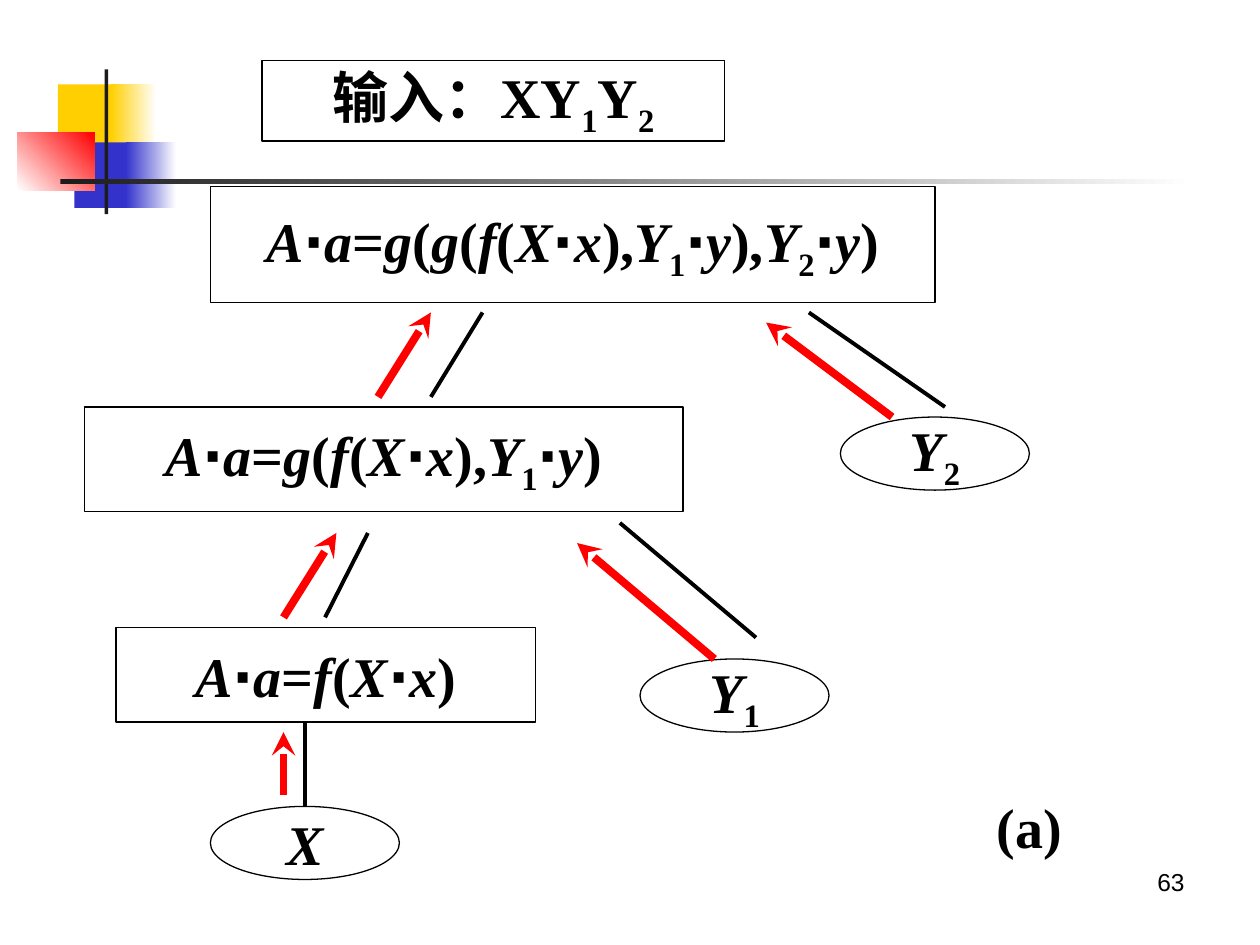
from itertools import groupby

from lxml import etree
from pptx import Presentation
from pptx.dml.color import RGBColor
from pptx.enum.shapes import MSO_CONNECTOR, MSO_SHAPE
from pptx.enum.text import MSO_ANCHOR, PP_ALIGN
from pptx.oxml.ns import qn
from pptx.util import Inches, Pt

RECT, OVAL = MSO_SHAPE.RECTANGLE, MSO_SHAPE.OVAL
STRAIGHT = MSO_CONNECTOR.STRAIGHT
MIDDLE, TOP = MSO_ANCHOR.MIDDLE, MSO_ANCHOR.TOP
CENTER, RIGHT = PP_ALIGN.CENTER, PP_ALIGN.RIGHT
TOP_SITE = 0

THEME = {
    "black": "000000", "white": "FFFFFF", "ink": "1C1C1C", "red": "FF0000",
    "yellow": "FFCF01", "blue": "3333CC",
    "serif": "Times New Roman", "sans": "Arial",
    "formula_size": 32, "number_size": 14,
    "outline": 0.75, "edge": 2.25, "flow": 4.5,
}

# left, top, width, height, start colour, end colour (None = solid), angle
ORNAMENTS = [
    (0.46, 0.67, 0.48, 0.52, "yellow", None, 0),
    (0.88, 0.67, 0.36, 0.52, "yellow", "white", 0),
    (0.59, 1.13, 0.46, 0.52, "blue", None, 0),
    (1.00, 1.13, 0.40, 0.52, "blue", "white", 0),
    (0.14, 1.05, 0.61, 0.46, "white", "red", 45),
    (0.83, 0.55, 0.03, 1.15, "ink", None, 0),
    (0.48, 1.42, 9.00, 0.04, "ink", "white", 0),
]

# name: shape, left, top, width, height, text
NODES = {
    "root": (RECT, 1.67, 1.48, 5.75, 0.92, "A⋅a=g(g(f(X⋅x),Y1⋅y),Y2⋅y)"),
    "inner": (RECT, 0.67, 3.23, 4.75, 0.83, "A⋅a=g(f(X⋅x),Y1⋅y)"),
    "first": (RECT, 0.92, 4.98, 3.33, 0.75, "A⋅a=f(X⋅x)"),
    "Y2": (OVAL, 6.67, 3.31, 1.5, 0.58, "Y2"),
    "Y1": (OVAL, 5.08, 5.23, 1.5, 0.58, "Y1"),
    "X": (OVAL, 1.67, 6.4, 1.5, 0.58, "X"),
}
INPUT = (RECT, 2.08, 0.48, 3.67, 0.64, "输入：XY1Y2")
CAPTION = (7.81, 6.24, 0.72, 0.64, "(a)")
PAGE_NUMBER = (7.17, 6.83, 2.33, 0.52, "63")

# x and y of the start, x and y of the end
X_EDGE = (2.42, 6.4, 2.42, 5.73)
TREE_EDGES = [
    (2.58, 4.9, 2.92, 4.23),
    (3.42, 3.15, 3.83, 2.48),
    (7.5, 3.23, 6.42, 2.48),
    (4.92, 4.15, 6, 5.06),
]
ATTRIBUTE_FLOWS = [
    (2.25, 6.31, 2.25, 5.81),
    (7.08, 3.31, 6.08, 2.56),
    (3, 3.15, 3.42, 2.48),
    (5.67, 5.23, 4.58, 4.31),
    (2.25, 4.9, 2.67, 4.23),
]


def color(name):
    return RGBColor.from_string(THEME[name])


def inches(values):
    return [Inches(value) for value in values]


def character_kind(char):
    if char == "⋅":
        return "dot"
    if char.isdigit():
        return "subscript"
    return "letter" if char.isascii() and char.isalpha() else "symbol"


def write_formula(box, text, italic=True):
    """Letters are italic on request, digits are subscripts, dots use the sans font."""
    frame = box.text_frame
    frame.word_wrap = False
    frame.vertical_anchor = MIDDLE
    para = frame.paragraphs[0]
    para.alignment = CENTER
    para.font.size = Pt(THEME["formula_size"])
    para.font.bold = True
    para.font.name = THEME["serif"]
    para.font.color.rgb = color("black")
    for kind, chars in groupby(text, character_kind):
        span = para.add_run()
        span.text = "".join(chars)
        if kind == "letter" and italic:
            span.font.italic = True
        elif kind == "dot":
            span.font.name = THEME["sans"]
        elif kind == "subscript":
            span._r.get_or_add_rPr().set("baseline", "-25000")


def add_ornament(page, left, top, width, height, start, end, angle):
    block = page.shapes.add_shape(RECT, *inches((left, top, width, height)))
    block.shadow.inherit = False
    block.line.fill.background()
    if end is None:
        block.fill.solid()
        block.fill.fore_color.rgb = color(start)
        return
    block.fill.gradient()
    block.fill.gradient_angle = angle
    for stop, name in zip(block.fill.gradient_stops, (start, end)):
        stop.color.rgb = color(name)


def add_node(page, kind, left, top, width, height, text, italic=True):
    node = page.shapes.add_shape(kind, *inches((left, top, width, height)))
    node.shadow.inherit = False
    node.fill.background()
    node.line.color.rgb = color("black")
    node.line.width = Pt(THEME["outline"])
    write_formula(node, text, italic)
    return node


def add_line(page, ends, color_name, weight, arrow=False):
    line = page.shapes.add_connector(STRAIGHT, *inches(ends))
    line.line.color.rgb = color(color_name)
    line.line.width = Pt(THEME[weight])
    if arrow:
        outline = line.line._get_or_add_ln()
        etree.SubElement(outline, qn("a:tailEnd"), type="stealth")
    etree.SubElement(line._element.spPr, qn("a:effectLst"))
    return line


def add_page_number(page, left, top, width, height, text):
    box = page.shapes.add_textbox(*inches((left, top, width, height)))
    box.text_frame.word_wrap = True
    box.text_frame.vertical_anchor = TOP
    para = box.text_frame.paragraphs[0]
    para.text = text
    para.alignment = RIGHT
    para.font.size = Pt(THEME["number_size"])
    para.font.name = THEME["sans"]
    para.font.color.rgb = color("black")


def main():
    deck = Presentation()
    deck.slide_width, deck.slide_height = Inches(10), Inches(7.5)
    page = deck.slides.add_slide(deck.slide_layouts[6])

    for ornament in ORNAMENTS:
        add_ornament(page, *ornament)
    add_page_number(page, *PAGE_NUMBER)

    nodes = {name: add_node(page, *node) for name, node in NODES.items()}
    add_line(page, X_EDGE, "black", "edge").begin_connect(nodes["X"], TOP_SITE)
    for ends in TREE_EDGES:
        add_line(page, ends, "black", "edge")
    for ends in ATTRIBUTE_FLOWS:
        add_line(page, ends, "red", "flow", arrow=True)

    *place, caption = CAPTION
    write_formula(page.shapes.add_textbox(*inches(place)), caption, italic=False)
    add_node(page, *INPUT, italic=False)
    deck.save("out.pptx")


if __name__ == "__main__":
    main()
